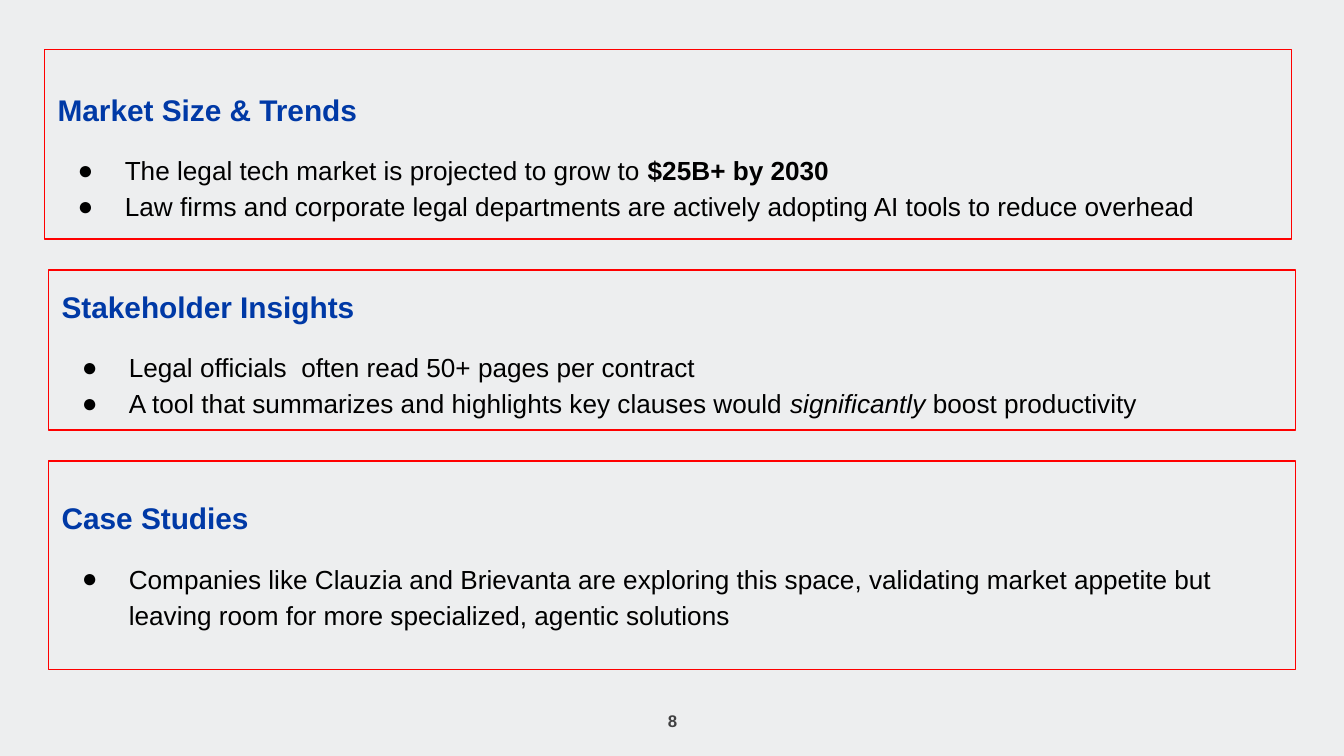
import pptx
import pptx.dml.color
import pptx.enum.shapes
import pptx.enum.text
import pptx.oxml
import pptx.oxml.ns
import pptx.util
from pptx.util import Inches

COLORS = {"background": "EDEEEF", "border": "FF0000", "heading": "0039A6",
          "body": "000000", "number": "404041"}
FONT = "Arial"
BODY_SIZE = 14
PAGE_WIDTH = 10
PANEL_WIDTH = 9.28
MIDDLE = pptx.enum.text.MSO_ANCHOR.MIDDLE
TOP = pptx.enum.text.MSO_ANCHOR.TOP

# Each bullet is a list of (text, style) spans.
PANELS = [
    {"heading": "Market Size & Trends", "left": 0.33, "top": 0.37, "height": 1.41,
     "anchor": MIDDLE, "inset_top": 0.28, "heading_spacing": 1.0,
     "bullets": [
         [("The legal tech market is projected to grow to ", ""),
          ("$25B+ by 2030", "bold")],
         [("Law firms and corporate legal departments are actively adopting "
           "AI tools to reduce overhead", "")]]},
    {"heading": "Stakeholder Insights", "left": 0.36, "top": 2.01, "height": 1.19,
     "anchor": TOP, "inset_top": 0.1, "heading_spacing": 1.15,
     "bullets": [
         [("Legal officials  often read 50+ pages per contract", "")],
         [("A tool that summarizes and highlights key clauses would ", ""),
          ("significantly", "italic"), (" boost productivity", "")]]},
    {"heading": "Case Studies", "left": 0.36, "top": 3.43, "height": 1.55,
     "anchor": MIDDLE, "inset_top": 0.1, "heading_spacing": 1.0,
     "bullets": [
         [("Companies like Clauzia and Brievanta are exploring this space, "
           "validating market appetite but leaving room for more specialized, "
           "agentic solutions", "")]]},
]
PAGE_NUMBER = "8"


def rgb(name):
    return pptx.dml.color.RGBColor.from_string(COLORS[name])


def set_font(para, size, color, bold=False):
    para.font.name = FONT
    para.font.size = pptx.util.Pt(size)
    para.font.bold = bold
    para.font.color.rgb = rgb(color)


def set_bullet(para):
    """Give the paragraph a hanging indent and a round bullet."""
    props = para._p.get_or_add_pPr()
    props.set("marL", str(Inches(0.5)))
    props.set("indent", str(Inches(-0.35)))
    namespace = pptx.oxml.ns.nsdecls("a")
    bullet_parts = [
        f'<a:buClr {namespace}><a:srgbClr val="{COLORS["body"]}"/></a:buClr>',
        f'<a:buSzPts {namespace} val="{BODY_SIZE * 100}"/>',
        f'<a:buFont {namespace} typeface="{FONT}"/>',
        f'<a:buChar {namespace} char="●"/>',
    ]
    font_props = props.find(pptx.oxml.ns.qn("a:defRPr"))
    for part in bullet_parts:
        font_props.addprevious(pptx.oxml.parse_xml(part))


def add_panel(page, panel):
    box = page.shapes.add_shape(
        pptx.enum.shapes.MSO_SHAPE.RECTANGLE, Inches(panel["left"]),
        Inches(panel["top"]), Inches(PANEL_WIDTH), Inches(panel["height"]))
    box.shadow.inherit = False
    box.fill.background()
    box.line.color.rgb = rgb("border")
    box.line.width = pptx.util.Pt(0.75)

    frame = box.text_frame
    frame.word_wrap = True
    frame.vertical_anchor = panel["anchor"]
    frame.margin_left = frame.margin_right = frame.margin_bottom = Inches(0.1)
    frame.margin_top = Inches(panel["inset_top"])

    heading = frame.paragraphs[0]
    heading.text = panel["heading"]
    heading.alignment = pptx.enum.text.PP_ALIGN.LEFT
    heading.line_spacing = panel["heading_spacing"]
    set_font(heading, 16, "heading", bold=True)

    for index, spans in enumerate(panel["bullets"]):
        para = frame.add_paragraph()
        para.alignment = pptx.enum.text.PP_ALIGN.LEFT
        para.line_spacing = 1.15
        para.space_before = pptx.util.Pt(0 if index else 12)
        set_font(para, BODY_SIZE, "body")
        set_bullet(para)
        for text, style in spans:
            span = para.add_run()
            span.text = text
            if style == "bold":
                span.font.bold = True
            elif style == "italic":
                span.font.italic = True


def add_page_number(page):
    box = page.shapes.add_textbox(Inches(3.88), Inches(5.21),
                                  Inches(2.25), Inches(0.3))
    frame = box.text_frame
    frame.word_wrap = True
    frame.vertical_anchor = MIDDLE
    frame.margin_left = frame.margin_right = Inches(0.07)
    frame.margin_top = frame.margin_bottom = Inches(0.04)
    para = frame.paragraphs[0]
    para.text = PAGE_NUMBER
    para.alignment = pptx.enum.text.PP_ALIGN.CENTER
    set_font(para, 9, "number", bold=True)


def main():
    deck = pptx.Presentation()
    deck.slide_width = Inches(PAGE_WIDTH)
    deck.slide_height = Inches(PAGE_WIDTH * 9 / 16)
    page = deck.slides.add_slide(deck.slide_layouts[6])
    page.background.fill.solid()
    page.background.fill.fore_color.rgb = rgb("background")
    add_page_number(page)
    for panel in PANELS:
        add_panel(page, panel)
    deck.save("out.pptx")


if __name__ == "__main__":
    main()
